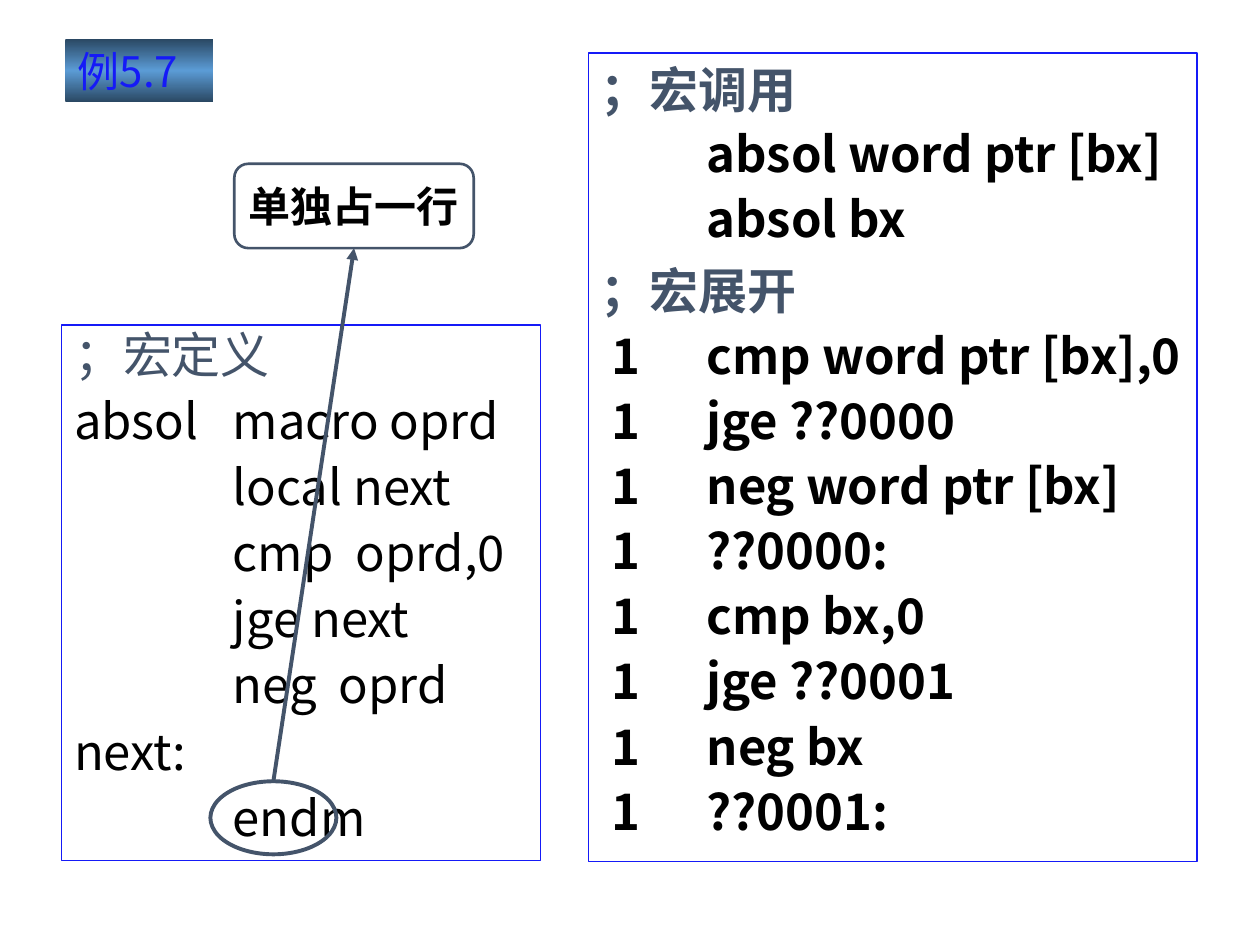
from copy import deepcopy

from pptx import Presentation
from pptx.dml.color import RGBColor
from pptx.enum.shapes import MSO_CONNECTOR, MSO_SHAPE
from pptx.enum.text import MSO_ANCHOR, PP_ALIGN
from pptx.oxml.ns import qn
from pptx.util import Inches, Pt
from lxml import etree

RECT = MSO_SHAPE.RECTANGLE
OVAL = MSO_SHAPE.OVAL
ROUND = MSO_SHAPE.FLOWCHART_ALTERNATE_PROCESS
LINE = MSO_CONNECTOR.STRAIGHT
TOP, MIDDLE = MSO_ANCHOR.TOP, MSO_ANCHOR.MIDDLE
LEFT, CENTER, JUSTIFY = PP_ALIGN.LEFT, PP_ALIGN.CENTER, PP_ALIGN.JUSTIFY

WIDE, HIGH = Inches(10), Inches(7.5)
SANS = "Noto Sans CJK SC"
COLORS = {
    "white": "FFFFFF",
    "black": "000000",
    "blue": "151AF7",
    "slate": "44546A",
    "sky": "5B9BD5",
    "navy": "2A4863",
}
MACRO = [
    "；宏定义",
    "absol\tmacro oprd",
    "\tlocal next",
    "\tcmp  oprd,0",
    "\tjge next",
    "\tneg  oprd",
    "next:",
    "\tendm",
]
CALLS = [
    "；宏调用",
    "\tabsol word ptr [bx]",
    "\tabsol bx",
    "；宏展开",
    " 1\tcmp word ptr [bx],0",
    " 1\tjge ??0000",
    " 1\tneg word ptr [bx]",
    " 1\t??0000:",
    " 1\tcmp bx,0",
    " 1\tjge ??0001",
    " 1\tneg bx",
    " 1\t??0001:",
]


def color(name):
    return RGBColor.from_string(COLORS[name])


def add_box(slide, kind, area, fill=None, line=None, width=0.75):
    x, y, w, h = area
    box = slide.shapes.add_shape(
        kind,
        int(WIDE * x / 100), int(HIGH * y / 100),
        int(WIDE * w / 100), int(HIGH * h / 100),
    )
    box.shadow.inherit = False
    if fill:
        box.fill.solid()
        box.fill.fore_color.rgb = color(fill)
    else:
        box.fill.background()
    if line:
        box.line.color.rgb = color(line)
        box.line.width = Pt(width)
    else:
        box.line.fill.background()
    return box


def shade(box, edge, core):
    box.fill.gradient()
    box.fill.gradient_angle = 270
    first, last = box.fill.gradient_stops
    first.position, last.position = 0, 1
    first.color.rgb = color(core)
    stops = box._element.spPr.find(qn("a:gradFill")).find(qn("a:gsLst"))
    mid = deepcopy(stops[0])
    mid.set("pos", "50000")
    stops.insert(1, mid)
    first.color.rgb = last.color.rgb = color(edge)


def style(par, size, tint, bold=False, font=SANS):
    for run in par.runs:
        run.font.size = Pt(size)
        run.font.bold = bold
        run.font.name = font
        run.font.color.rgb = color(tint)
        east = etree.SubElement(run.font._element, qn("a:ea"))
        east.set("typeface", SANS)


def add_label(box, text, size, tint, align, bold=False, font=SANS):
    frame = box.text_frame
    frame.text = text
    frame.vertical_anchor = MIDDLE
    frame.word_wrap = False
    par = frame.paragraphs[0]
    par.alignment = align
    style(par, size, tint, bold, font)


def set_tab(par, stop):
    tabs = etree.SubElement(par._p.get_or_add_pPr(), qn("a:tabLst"))
    tab = etree.SubElement(tabs, qn("a:tab"))
    tab.set("pos", str(Inches(stop)))
    tab.set("algn", "l")


def add_code(box, lines, stop, gap, head, align, bold):
    frame = box.text_frame
    frame.text = "\n".join(lines)
    frame.vertical_anchor = TOP
    frame.word_wrap = True
    for row, (par, text) in enumerate(zip(frame.paragraphs, lines)):
        title = text.startswith("；")
        set_tab(par, stop)
        par.alignment = align
        par.line_spacing = head if title else 0.9
        if row:
            par.space_before = Pt(gap)
        style(par, 28, "slate" if title else "black", bold)


def add_arrow(slide, start, end):
    arrow = slide.shapes.add_connector(LINE, 0, 0, 0, 0)
    arrow.begin_connect(start, 0)
    arrow.end_connect(end, 2)
    arrow.line.color.rgb = color("slate")
    arrow.line.width = Pt(2.25)
    tip = etree.SubElement(arrow.line._get_or_add_ln(), qn("a:tailEnd"))
    tip.set("type", "triangle")
    etree.SubElement(arrow._element.spPr, qn("a:effectLst"))


def main():
    deck = Presentation()
    deck.slide_width, deck.slide_height = WIDE, HIGH
    slide = deck.slides.add_slide(deck.slide_layouts[6])

    badge = add_box(slide, RECT, (5.2, 4.13, 11.7, 6.67))
    shade(badge, "navy", "sky")
    add_label(badge, "例5.7", 24, "blue", LEFT)

    macro = add_box(slide, RECT, (4.9, 34.4, 38, 56.67), "white", "blue")
    add_code(macro, MACRO, 1.26, 7.5, 0.9, LEFT, False)
    calls = add_box(slide, RECT, (46.7, 5.6, 48.3, 85.6), "white", "blue")
    add_code(calls, CALLS, 0.84, 7, 1.0, JUSTIFY, True)

    ring = add_box(slide, OVAL, (16.7, 82.67, 10, 7.73), None, "slate", 2.25)
    note = add_box(slide, ROUND, (18.6, 17.33, 19, 8.93), None, "slate", 1.5)
    add_label(note, "单独占一行", 24, "black", CENTER, True, "Arial")
    add_arrow(slide, ring, note)

    deck.save("out.pptx")


if __name__ == "__main__":
    main()
